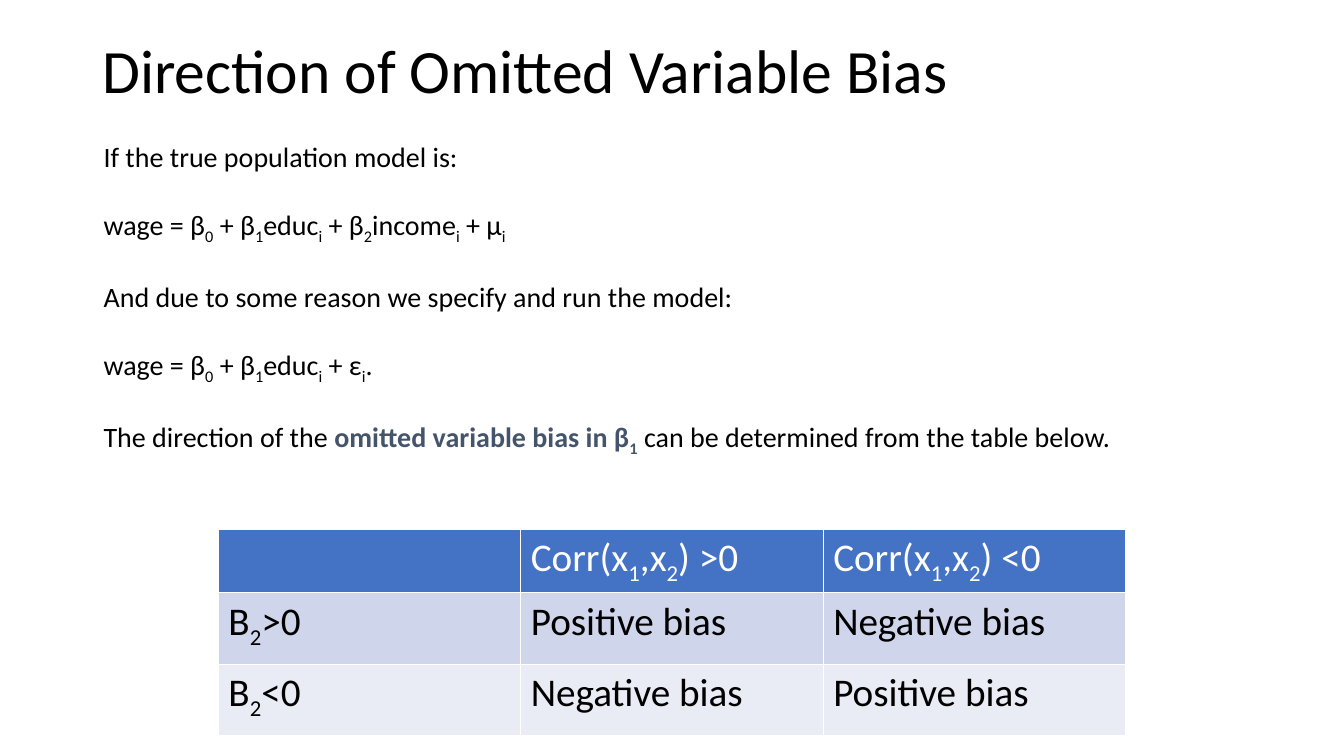
from dataclasses import dataclass

from lxml.etree import SubElement
from pptx import Presentation
from pptx.dml.color import RGBColor
from pptx.enum.text import MSO_ANCHOR
from pptx.oxml import parse_xml
from pptx.oxml.ns import nsdecls, qn
from pptx.util import Emu, Inches, Pt

GRID_COLUMNS, GRID_ROWS = 160, 90
UNIT = Inches(1) / 12


@dataclass(frozen=True)
class Theme:
    font: str = "Calibri"
    ink: str = "000000"
    paper: str = "FFFFFF"
    accent: str = "44546A"
    header: str = "4472C4"
    bands: tuple = ("CFD5EA", "E9EBF5")
    title_size: int = 44
    body_size: int = 20
    table_size: int = 28
    paragraph_gap: float = 24.4
    border: int = 1


THEME = Theme()

STATEMENTS = [
    "If the true population model is:",
    "wage = β_0 + β_1educ_i + β_2income_i + μ_i",
    "And due to some reason we specify and run the model:",
    "wage = β_0 + β_1educ_i + ε_i.",
    "The direction of the *omitted variable bias in β_1* can be determined from the table below.",
]

BIAS_TABLE = [
    ["", "Corr(x_1,x_2) >0", "Corr(x_1,x_2) <0"],
    ["B_2>0", "Positive bias", "Negative bias"],
    ["B_2<0", "Negative bias", "Positive bias"],
]


def grid(*steps):
    return [Emu(round(step * UNIT)) for step in steps]


def color(code):
    return RGBColor.from_string(code)


def add_span(para, text, emphasized, lowered=False):
    if not text:
        return
    span = para.add_run()
    span.text = text
    if emphasized:
        span.font.bold = True
        span.font.color.rgb = color(THEME.accent)
    if lowered:
        span.font._element.set("baseline", "-25000")


def write(para, markup, size, ink=THEME.ink):
    para.font.name = THEME.font
    para.font.size = Pt(size)
    para.font.bold = False
    para.font.color.rgb = color(ink)
    for index, segment in enumerate(markup.split("*")):
        emphasized = index % 2 == 1
        plain, *subscripted = segment.split("_")
        add_span(para, plain, emphasized)
        for part in subscripted:
            add_span(para, part[0], emphasized, lowered=True)
            add_span(para, part[1:], emphasized)


def add_text(page, place, lines, size, anchor=MSO_ANCHOR.TOP, gap=0, spacing=1.0):
    frame = page.shapes.add_textbox(*grid(*place)).text_frame
    frame.word_wrap = True
    frame.vertical_anchor = anchor
    for index, line in enumerate(lines):
        para = frame.add_paragraph() if index else frame.paragraphs[0]
        para.line_spacing = spacing
        para.space_before = Pt(gap if index else 0)
        write(para, line, size)


def set_borders(cell):
    properties = cell._tc.get_or_add_tcPr()
    for position, side in enumerate(("lnL", "lnR", "lnT", "lnB")):
        line = parse_xml(f'<a:{side} {nsdecls("a")} w="{Pt(THEME.border)}"/>')
        fill = SubElement(line, qn("a:solidFill"))
        SubElement(fill, qn("a:srgbClr"), val=THEME.paper)
        properties.insert(position, line)


def add_table(page, place, rows, heights):
    table = page.shapes.add_table(len(rows), len(rows[0]), *grid(*place)).table
    for row, height in zip(table.rows, grid(*heights)):
        row.height = height
    for row_index, values in enumerate(rows):
        is_header = row_index == 0
        background = THEME.header if is_header else THEME.bands[(row_index - 1) % 2]
        ink = THEME.paper if is_header else THEME.ink
        for column_index, value in enumerate(values):
            cell = table.cell(row_index, column_index)
            cell.fill.solid()
            cell.fill.fore_color.rgb = color(background)
            set_borders(cell)
            write(cell.text_frame.paragraphs[0], value, THEME.table_size, ink)


def main():
    deck = Presentation()
    deck.slide_width, deck.slide_height = grid(GRID_COLUMNS, GRID_ROWS)
    page = deck.slides.add_slide(deck.slide_layouts[6])
    add_text(page, (11, 0.1, 138, 17.4), ["Direction of Omitted Variable Bias"],
             THEME.title_size, anchor=MSO_ANCHOR.MIDDLE, spacing=0.9)
    add_table(page, (26, 63, 108, 23.2), BIAS_TABLE, (6.1, 8.5, 8.5))
    add_text(page, (11.15, 16, 141, 41.6), STATEMENTS,
             THEME.body_size, gap=THEME.paragraph_gap)
    deck.save("out.pptx")


if __name__ == "__main__":
    main()
